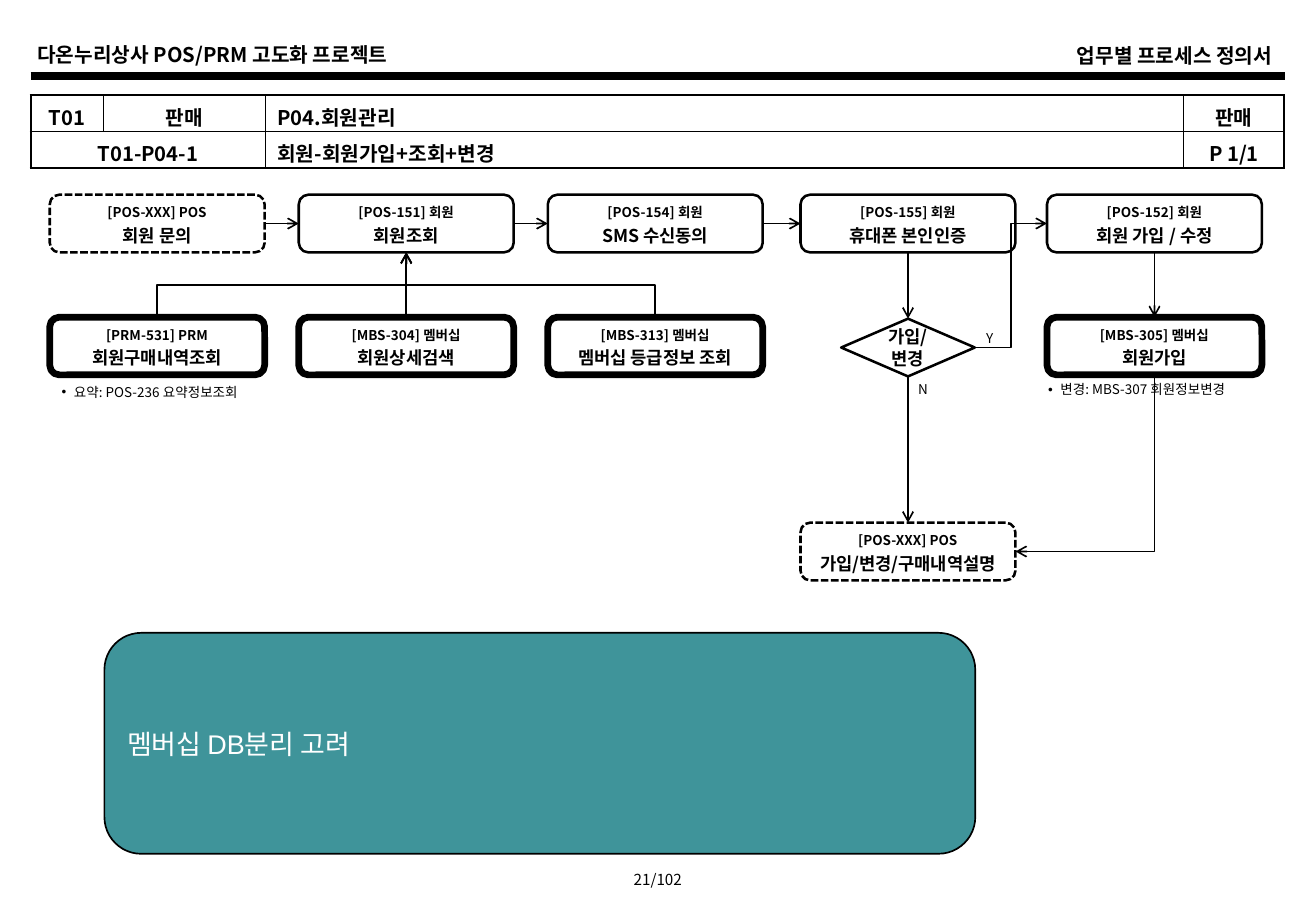
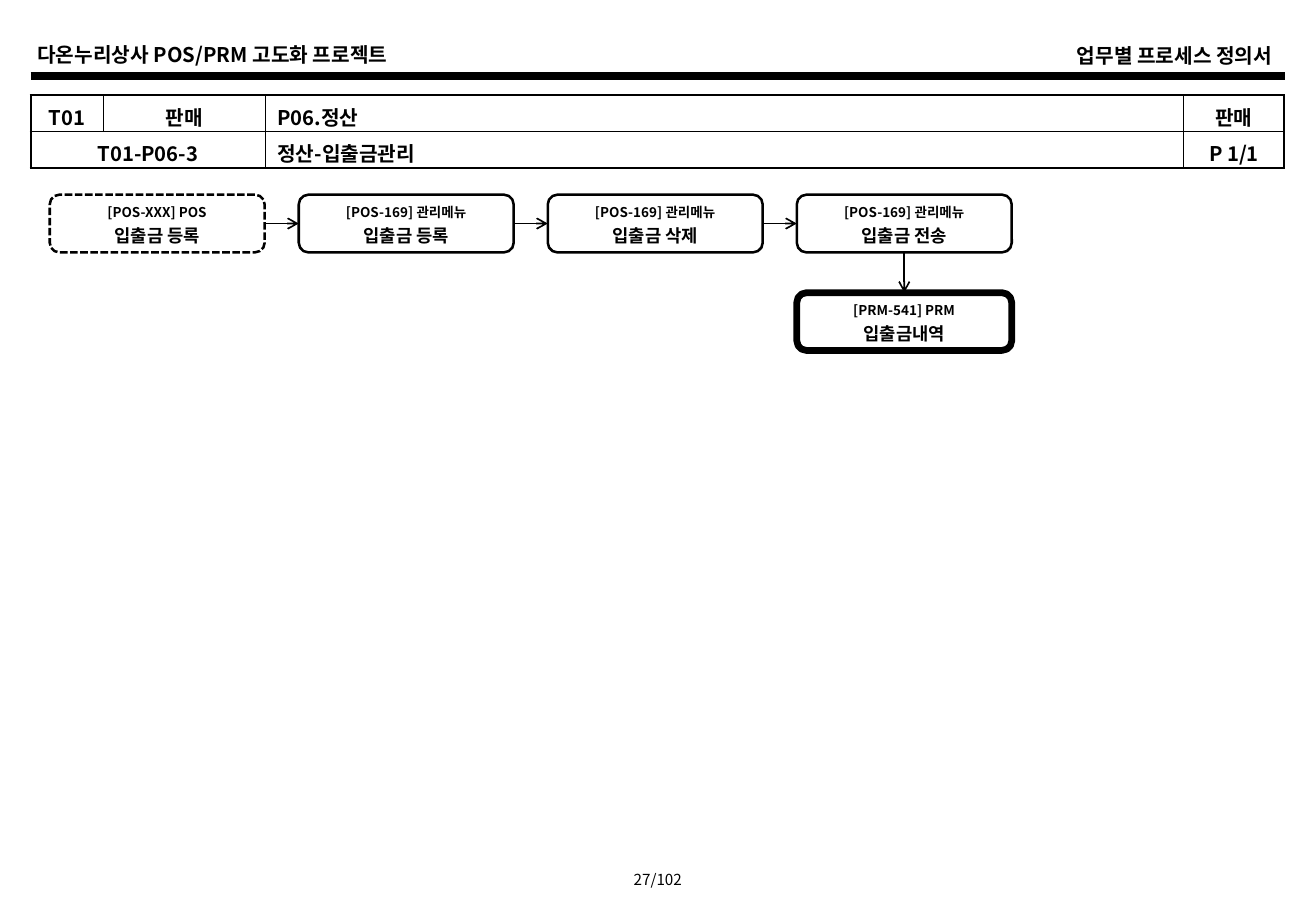
from lxml import etree
from pptx import Presentation
from pptx import util as u
from pptx.dml.color import RGBColor
from pptx.enum import dml, shapes, text
from pptx.oxml.ns import qn

Pt = u.Pt
SHAPE = shapes.MSO_SHAPE
LINK = shapes.MSO_CONNECTOR
LEFT, MID, RIGHT = text.PP_ALIGN.LEFT, text.PP_ALIGN.CENTER, text.PP_ALIGN.RIGHT
TOP_SIDE, LEFT_SIDE, LOW_SIDE, RIGHT_SIDE = range(4)


def tint(code):
    return RGBColor.from_string(code)


def node(base, tag, **attrs):
    return etree.SubElement(base, qn(tag), attrs)


class Deck:
    font = "Noto Sans CJK KR"
    ink, paper, teal = "000000", "FFFFFF", "3F949A"
    left, pitch, top = 29.5, 147.6, 115.4
    wide, high = 127.4, 34.2
    cols = (43.2, 95.8, 544.3, 59.8)

    def __init__(self):
        self.deck = Presentation()
        self.deck.slide_width, self.deck.slide_height = Pt(780), Pt(540)
        self.slide = None

    def col(self, num):
        return self.left + num * self.pitch

    def style(self, para, words, size, bold=False, align=LEFT, face=None, ink=None):
        para.text = words
        para.alignment = align
        font = para.font
        font.size, font.bold, font.name = Pt(size), bold, face or self.font
        font.color.rgb = tint(ink or self.ink)
        node(para._p.pPr.find(qn("a:defRPr")), "a:ea", typeface=self.font)

    def label(self, words, x, y, w, h, size, bold=False, align=LEFT, dot=False):
        frame = self.slide.shapes.add_textbox(Pt(x), Pt(y), Pt(w), Pt(h)).text_frame
        frame.word_wrap = True
        para = frame.paragraphs[0]
        if dot:
            props = para._p.get_or_add_pPr()
            props.set("marL", str(Pt(7.2)))
            props.set("indent", str(-Pt(7.2)))
            node(props, "a:buFont", typeface="Arial")
            node(props, "a:buChar", char="•")
        self.style(para, words, size, bold, align)

    def shape(self, kind, x, y, w, h, line, fill=None, inset=None):
        item = self.slide.shapes.add_shape(kind, Pt(x), Pt(y), Pt(w), Pt(h))
        item.shadow.inherit = False
        if fill:
            item.fill.solid()
            item.fill.fore_color.rgb = tint(fill)
        else:
            item.fill.background()
        item.line.color.rgb = tint(self.ink)
        item.line.width = Pt(line)
        frame = item.text_frame
        frame.word_wrap = True
        frame.vertical_anchor = text.MSO_ANCHOR.MIDDLE
        if inset is not None:
            frame.margin_left = frame.margin_right = Pt(inset)
            frame.margin_top = frame.margin_bottom = Pt(inset)
        return item

    def step(self, code, name, x, y=None, line=1.5, dash=False):
        item = self.shape(SHAPE.ROUNDED_RECTANGLE, x, self.top if y is None else y,
                          self.wide, self.high, line, self.paper, 2.8)
        if dash:
            item.line.dash_style = dml.MSO_LINE.SQUARE_DOT
        frame = item.text_frame
        for para, words, size in ((frame.paragraphs[0], code, 8),
                                  (frame.add_paragraph(), name, 10.5)):
            para.line_spacing = 1.2
            self.style(para, words, size, True, MID)
        return item

    def choice(self, lines, x, y, w, h):
        item = self.shape(SHAPE.FLOWCHART_DECISION, x, y, w, h, 1.5, inset=0)
        frame = item.text_frame
        for num, words in enumerate(lines):
            para = frame.add_paragraph() if num else frame.paragraphs[0]
            self.style(para, words, 10.5, True, MID)
        return item

    def panel(self, words, x, y, w, h):
        item = self.shape(SHAPE.ROUNDED_RECTANGLE, x, y, w, h, 1, self.teal)
        self.style(item.text_frame.paragraphs[0], words, 16, face="Arial", ink=self.paper)

    def line(self, kind, ends, width=1, head=True):
        wire = self.slide.shapes.add_connector(kind, *(Pt(n) for n in ends))
        wire.line.color.rgb = tint(self.ink)
        wire.line.width = Pt(width)
        if head:
            node(wire._element.spPr.find(qn("a:ln")), "a:tailEnd", type="arrow")
        node(wire._element.spPr, "a:effectLst")
        return wire

    def link(self, start, end, out=RIGHT_SIDE, into=LEFT_SIDE):
        wire = self.line(LINK.STRAIGHT, (0, 0, 0, 0))
        wire.begin_connect(start, out)
        wire.end_connect(end, into)

    def bend(self, x1, y1, x2, y2, preset="bentConnector3"):
        wide, high = abs(y2 - y1), abs(x2 - x1)
        x, y = (x1 + x2 - wide) / 2, (y1 + y2 - high) / 2
        wire = self.line(LINK.ELBOW, (x, y, x + wide, y + high))
        props = wire._element.spPr
        down = y2 > y1
        form = props.find(qn("a:xfrm"))
        form.set("rot", str((90 if down else 270) * 60000))
        if (x2 > x1) == down:
            form.set("flipV", "1")
        props.find(qn("a:prstGeom")).set("prst", preset)

    def edge(self, cell, row, col):
        props = cell._tc.get_or_add_tcPr()
        outer = {"L": col == 0, "R": col == 3, "T": row == 0, "B": row == 1}
        for side, thick in outer.items():
            line = node(props, "a:ln" + side, w=str(Pt(1.5 if thick else 0.75)))
            node(node(line, "a:solidFill"), "a:srgbClr", val=self.ink)

    def grid(self, rows):
        table = self.slide.shapes.add_table(
            2, 4, Pt(18.2), Pt(56.5), Pt(sum(self.cols)), Pt(43.2)).table
        table.first_row = table.horz_banding = False
        for col, wide in zip(table.columns, self.cols):
            col.width = Pt(wide)
        for r, row in enumerate(rows):
            for c, words in enumerate(row):
                cell = table.cell(r, c)
                self.edge(cell, r, c)
                cell.fill.background()
                cell.margin_top, cell.margin_bottom = Pt(3.6), 0
                cell.vertical_anchor = text.MSO_ANCHOR.MIDDLE
                if words:
                    self.style(cell.text_frame.paragraphs[0], words, 12, True,
                               LEFT if c == 2 else MID)
        table.cell(1, 0).merge(table.cell(1, 1))

    def page(self, num, code, group, name):
        self.slide = self.deck.slides.add_slide(self.deck.slide_layouts[6])
        self.label(f"{num}/102", 356.4, 512.6, 67, 18, 9, align=MID)
        self.label("다온누리상사 POS/PRM 고도화 프로젝트", 15.1, 21.6, 299, 21.6, 12, True)
        self.line(LINK.STRAIGHT, (18.2, 44.9, 761.8, 44.9), 4.5, False)
        self.label("업무별 프로세스 정의서", 462.2, 22.3, 299, 21.6, 12, True, RIGHT)
        self.grid((("T01", "판매", group, "판매"), (code, "", name, "P 1/1")))


def member(deck):
    deck.page(21, "T01-P04-1", "P04.회원관리", "회원-회원가입+조회+변경")
    low, check, final, last = 188, 474.5, 620.6, 309.8
    ask = deck.step("[POS-XXX] POS", "회원 문의", deck.col(0), dash=True)
    find = deck.step("[POS-151] 회원", "회원조회", deck.col(1))
    agree = deck.step("[POS-154] 회원", "SMS 수신동의", deck.col(2))
    phone = deck.step("[POS-155] 회원", "휴대폰 본인인증", check)
    enter = deck.step("[POS-152] 회원", "회원 가입 / 수정", final)
    deck.step("[PRM-531] PRM", "회원구매내역조회", deck.col(0), low, 4)
    search = deck.step("[MBS-304] 멤버십", "회원상세검색", deck.col(1), low, 4)
    deck.step("[MBS-313] 멤버십", "멤버십 등급정보 조회", deck.col(2), low, 4)
    signed = deck.step("[MBS-305] 멤버십", "회원가입", final, low, 4)
    close = deck.step("[POS-XXX] POS", "가입/변경/구매내역설명", check, last, dash=True)
    fork = deck.choice(("가입/", "변경"), 498.6, 188.9, 79.2, deck.high)

    deck.label("Y", 577.4, 192.2, 24, 17.3, 8)
    deck.label("N", 537.1, 222.5, 24, 17.3, 8)
    deck.label("요약: POS-236 요약정보조회", 29.5, 223.9, 140, 17.3, 8, dot=True)
    deck.label("변경: MBS-307 회원정보변경", 614.2, 222.5, 140, 17.3, 8, dot=True)

    for start, end in ((ask, find), (find, agree), (agree, phone)):
        deck.link(start, end)
    for start, end in ((phone, fork), (fork, close), (enter, signed)):
        deck.link(start, end, LOW_SIDE, TOP_SIDE)
    deck.link(search, find, TOP_SIDE, LOW_SIDE)

    half, base = deck.wide / 2, deck.top + deck.high
    for num in (0, 2):
        deck.bend(deck.col(num) + half, low, deck.col(1) + half, base)
    deck.line(LINK.ELBOW, (577.8, 206, final, deck.top + deck.high / 2))
    deck.bend(final + half, low + deck.high, check + deck.wide,
              last + deck.high / 2, "bentConnector2")
    deck.panel("멤버십 DB분리 고려", 61.9, 375.1, 516.2, 131)


def cash(deck):
    deck.page(27, "T01-P06-3", "P06.정산", "정산-입출금관리")
    steps = [deck.step("[POS-XXX] POS", "입출금 등록", deck.col(0), dash=True)]
    for num, name in enumerate(("입출금 등록", "입출금 삭제", "입출금 전송"), 1):
        steps.append(deck.step("[POS-169] 관리메뉴", name, deck.col(num)))
    for start, end in zip(steps, steps[1:]):
        deck.link(start, end)
    log = deck.step("[PRM-541] PRM", "입출금내역", deck.col(3), 173.5, 4)
    deck.link(steps[-1], log, LOW_SIDE, TOP_SIDE)


def main():
    deck = Deck()
    member(deck)
    cash(deck)
    deck.deck.save("out.pptx")


if __name__ == "__main__":
    main()
